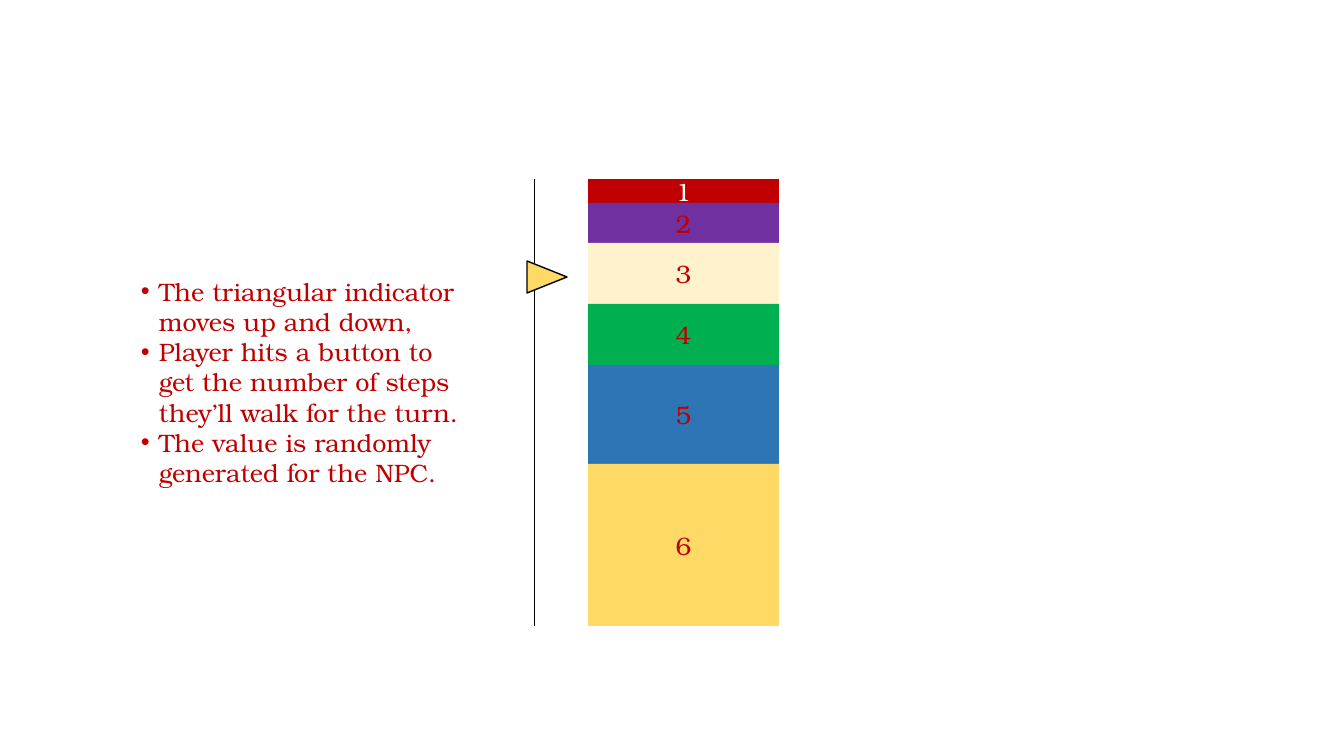
from lxml import etree
from pptx import Presentation
from pptx.dml.color import RGBColor
from pptx.enum.shapes import MSO_CONNECTOR, MSO_SHAPE
from pptx.enum.text import MSO_ANCHOR, MSO_AUTO_SIZE, PP_ALIGN
from pptx.oxml.ns import qn
from pptx.util import Pt

RECTANGLE, TRIANGLE = MSO_SHAPE.RECTANGLE, MSO_SHAPE.ISOSCELES_TRIANGLE
STRAIGHT = MSO_CONNECTOR.STRAIGHT
MIDDLE, CENTER, LEFT = MSO_ANCHOR.MIDDLE, PP_ALIGN.CENTER, PP_ALIGN.LEFT
GROW = MSO_AUTO_SIZE.SHAPE_TO_FIT_TEXT

# Content
COLORS = {
    "red": "C00000", "purple": "7030A0", "cream": "FFF2CC", "green": "00B050",
    "blue": "2E75B6", "gold": "FFD966", "white": "FFFFFF", "black": "000000",
}
STEPS = [  # label, height in px, fill, text colour
    ("1", 24, "red", "white"),
    ("2", 40, "purple", "red"),
    ("3", 61, "cream", "red"),
    ("4", 61, "green", "red"),
    ("5", 99, "blue", "red"),
    ("6", 162, "gold", "red"),
]
RULES = [
    "The triangular indicator moves up and down,",
    "Player hits a button to get the number of steps they’ll walk for the turn.",
    "The value is randomly generated for the NPC.",
]
FONT = {"name": "TeX Gyre Bonum", "size": Pt(18)}

# Layout in px
SLIDE_W, SLIDE_H = 1344, 756
SCALE = 12192000 / SLIDE_W
BAR_LEFT, BAR_TOP, BAR_W = 588, 179, 191
TRACK_X = 534
INDICATOR = (531, 257, 32, 40)
RULES_BOX = (131, 271, 342, 224)
HANGING = 18


def px(*lengths):
    return [round(length * SCALE) for length in lengths]


def rgb(color):
    return RGBColor.from_string(COLORS[color])


def write(paragraph, text, color, align):
    paragraph.alignment = align
    run = paragraph.add_run()
    run.text = text
    for attribute, value in FONT.items():
        setattr(run.font, attribute, value)
    run.font.color.rgb = rgb(color)


def add_filled(slide, kind, box, fill):
    shape = slide.shapes.add_shape(kind, *px(*box))
    shape.shadow.inherit = False
    shape.fill.solid()
    shape.fill.fore_color.rgb = rgb(fill)
    shape.line.fill.background()
    return shape


def add_bullet(paragraph):
    properties = paragraph._p.get_or_add_pPr()
    indent, = px(HANGING)
    properties.set("marL", str(indent))
    properties.set("indent", str(-indent))
    etree.SubElement(properties, qn("a:buFont")).set("typeface", "Arial")
    etree.SubElement(properties, qn("a:buChar")).set("char", "•")


def main():
    deck = Presentation()
    deck.slide_width, deck.slide_height = px(SLIDE_W, SLIDE_H)
    slide = deck.slides.add_slide(deck.slide_layouts[6])

    # Step bar, stacked from the top
    top = BAR_TOP
    for label, height, fill, color in STEPS:
        step = add_filled(slide, RECTANGLE, (BAR_LEFT, top, BAR_W, height), fill)
        step.text_frame.vertical_anchor = MIDDLE
        write(step.text_frame.paragraphs[0], label, color, CENTER)
        top += height

    # Track beside the bar, as tall as the whole stack
    track = slide.shapes.add_connector(STRAIGHT, *px(TRACK_X, BAR_TOP, TRACK_X, top))
    track.line.color.rgb = rgb("black")
    track.line.width = Pt(0.5)
    etree.SubElement(track._element.spPr, qn("a:effectLst"))

    # Indicator pointing at the bar
    indicator = add_filled(slide, TRIANGLE, INDICATOR, "gold")
    indicator.rotation = 90
    indicator.line.color.rgb = rgb("black")
    indicator.line.width = Pt(1)

    # Rules of the turn
    frame = slide.shapes.add_textbox(*px(*RULES_BOX)).text_frame
    frame.word_wrap = True
    frame.auto_size = GROW
    for index, rule in enumerate(RULES):
        paragraph = frame.add_paragraph() if index else frame.paragraphs[0]
        write(paragraph, rule, "red", LEFT)
        add_bullet(paragraph)

    deck.save("out.pptx")


if __name__ == "__main__":
    main()
